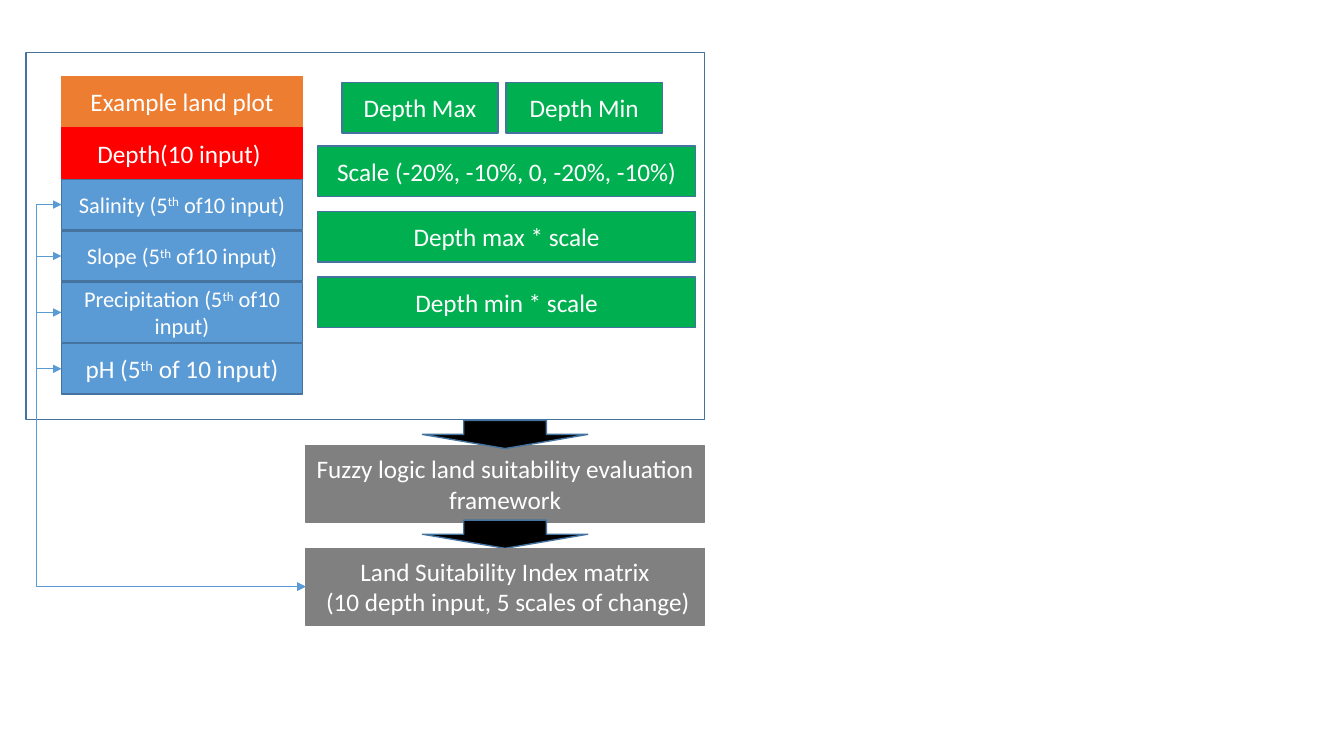
from lxml import etree
from pptx import Presentation
from pptx.dml.color import RGBColor
from pptx.enum.shapes import MSO_CONNECTOR, MSO_SHAPE
from pptx.enum.text import MSO_ANCHOR, PP_ALIGN
from pptx.oxml.ns import qn
from pptx.util import Pt

PX = 9144  # EMU per px, 100 px to the inch
FONT = "Calibri"
RECT, DOWN_ARROW = MSO_SHAPE.RECTANGLE, MSO_SHAPE.DOWN_ARROW
ELBOW = MSO_CONNECTOR.ELBOW
CENTER, MIDDLE = PP_ALIGN.CENTER, MSO_ANCHOR.MIDDLE
LEFT_SITE = 1  # connection site on the left side of a rectangle

WHITE = RGBColor(0xFF, 0xFF, 0xFF)
BLACK = RGBColor(0x00, 0x00, 0x00)
ORANGE = RGBColor(0xED, 0x7D, 0x31)
RED = RGBColor(0xFF, 0x00, 0x00)
BLUE = RGBColor(0x5B, 0x9B, 0xD5)
DARK_BLUE = RGBColor(0x43, 0x73, 0x9E)
GREEN = RGBColor(0x00, 0xB0, 0x50)
GRAY = RGBColor(0x80, 0x80, 0x80)

# Text (^ encloses a superscript), size, height, fill, line
PLOT_ROWS = [
    ("Example land plot", 18, 50, ORANGE, ORANGE),
    ("Depth(10 input) ", 18, 50, RED, RED),
    ("Salinity (5^th^ of10 input)", 16, 50, BLUE, DARK_BLUE),
    ("Slope (5^th^ of10 input)", 16, 50, BLUE, DARK_BLUE),
    ("Precipitation (5^th^ of10 input)", 16, 60, BLUE, DARK_BLUE),
    ("pH (5^th^ of 10 input)", 18, 50, BLUE, DARK_BLUE),
]
SCALE_ROWS = ["Scale (-20%, -10%, 0, -20%, -10%)", "Depth max * scale", "Depth min * scale"]


def add_block(page, kind, bounds, fill, line):
    block = page.shapes.add_shape(kind, *(length * PX for length in bounds))
    block.shadow.inherit = False
    if fill is None:
        block.fill.background()
    else:
        block.fill.solid()
        block.fill.fore_color.rgb = fill
    block.line.color.rgb = line
    block.line.width = Pt(1)
    return block


def add_box(page, bounds, text, fill, line, size=18):
    box = add_block(page, RECT, bounds, fill, line)
    frame = box.text_frame
    frame.word_wrap = True
    frame.vertical_anchor = MIDDLE
    for index, row in enumerate(text.split("\n")):
        para = frame.add_paragraph() if index else frame.paragraphs[0]
        para.alignment = CENTER
        para.font.name = FONT
        para.font.size = Pt(size)
        para.font.color.rgb = WHITE
        for part, words in enumerate(row.split("^")):
            span = para.add_run()
            span.text = words
            if part % 2:
                span.font._element.set("baseline", "30000")
    return box


def add_link(page, start, end, trunk):
    """Join the left sides of two boxes through a vertical trunk."""
    link = page.shapes.add_connector(ELBOW, 0, 0, 0, 0)
    link.begin_connect(start, LEFT_SITE)
    link.end_connect(end, LEFT_SITE)
    link.line.color.rgb = BLUE
    link.line.width = Pt(0.5)
    properties = link._element.spPr
    bend = round(100000 * (start.left - trunk * PX) / (start.left - end.left))
    guides = properties.find(qn("a:prstGeom")).find(qn("a:avLst"))
    etree.SubElement(guides, qn("a:gd"), name="adj1", fmla=f"val {bend}")
    outline = properties.find(qn("a:ln"))
    for tag in ("a:headEnd", "a:tailEnd"):
        etree.SubElement(outline, qn(tag), type="triangle")
    etree.SubElement(properties, qn("a:effectLst"))


def main():
    deck = Presentation()
    deck.slide_width, deck.slide_height = 1333 * PX, 750 * PX
    page = deck.slides.add_slide(deck.slide_layouts[6])

    # Land plot and its inputs
    inputs = []
    top = 76
    for text, size, height, fill, line in PLOT_ROWS:
        inputs.append(add_box(page, (61, top, 239, height), text, fill, line, size))
        top += height + 1

    # Depth limits and scaling
    for left, text in ((339, "Depth Max"), (502, "Depth Min")):
        add_box(page, (left, 82, 155, 50), text, GREEN, DARK_BLUE)
    for index, text in enumerate(SCALE_ROWS):
        add_box(page, (315, 145 + 65 * index, 375, 50), text, GREEN, DARK_BLUE)

    # Frame around the inputs
    add_block(page, RECT, (26, 52, 673, 364), None, DARK_BLUE)

    # Evaluation and result
    add_box(page, (303, 442, 396, 76), "Fuzzy logic land suitability evaluation framework", GRAY, GRAY)
    for top in (417, 516):
        add_block(page, DOWN_ARROW, (419, top, 164, 28), BLACK, DARK_BLUE)
    matrix = add_box(page, (303, 544, 396, 76),
                     "Land Suitability Index matrix\n (10 depth input, 5 scales of change)", GRAY, GRAY)

    # Links from the matrix to the fixed inputs
    for box in inputs[2:]:
        add_link(page, matrix, box, 36)

    deck.save("out.pptx")


if __name__ == "__main__":
    main()
